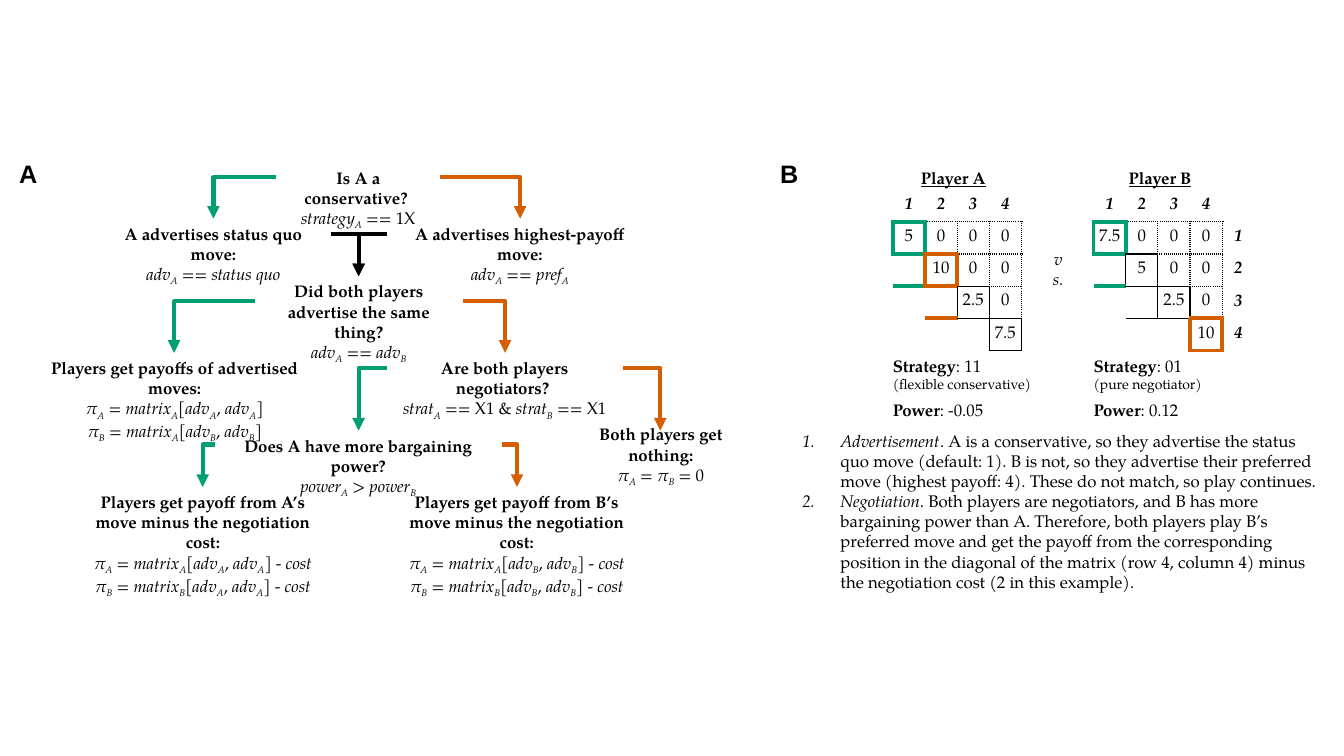
import lxml.etree
import pptx
import pptx.dml.color
import pptx.enum.dml
import pptx.enum.shapes
import pptx.enum.text
import pptx.oxml
import pptx.oxml.ns
import pptx.util

Cm, Pt = pptx.util.Cm, pptx.util.Pt
qn = pptx.oxml.ns.qn
ALIGN = pptx.enum.text.PP_ALIGN
ANCHOR = pptx.enum.text.MSO_ANCHOR
GREEN = pptx.dml.color.RGBColor(0x00, 0x9E, 0x73)
ORANGE = pptx.dml.color.RGBColor(0xD5, 0x5E, 0x00)
BLACK = pptx.dml.color.RGBColor(0x00, 0x00, 0x00)
SERIF = "TeX Gyre Pagella"
NO_GRID_STYLE = "{2D5ABB26-0587-4C30-8999-92F81FD0307C}"
CELL = 0.81
SIDES = {"L": (0, -1, "R"), "R": (0, 1, "L"), "T": (-1, 0, "B"), "B": (1, 0, "T")}

STEPS = [
    (6.96, 4.09, 4.14, 1.27, "Is A a conservative? ", ["*strategy_A* == 1X"]),
    (2.46, 5.51, 5.84, 1.27, "A advertises status quo move:", ["*adv_A* == *status quo*"]),
    (9.75, 5.51, 6.71, 1.27, "A advertises highest-payoff move:", ["*adv_A* == *pref_A*"]),
    (6.43, 6.96, 5.23, 1.8, "Did both players advertise the same thing?", ["*adv_A* == *adv_B*"]),
    (0.48, 8.89, 7.85, 1.8, "Players get payoffs of advertised moves:",
     ["*π_A* = *matrix_A*[*adv_A*, *adv_A*]", "*π_B* = *matrix_A*[*adv_B*, *adv_B*]"]),
    (9.75, 8.89, 5.94, 1.27, "Are both players negotiators? ",
     ["*strat_A* == X1 & *strat_B* == X1"]),
    (5.41, 10.85, 7.24, 1.27, "Does A have more bargaining power?", ["*power_A* > *power_B*"]),
    (1.9, 12.27, 6.43, 2.31, "Players get payoff from A’s move minus the negotiation cost:",
     ["*π_A* = *matrix_A*[*adv_A*, *adv_A*] - *cost*",
      "*π_B* = *matrix_B*[*adv_A*, *adv_A*] - *cost*"]),
    (9.75, 12.27, 6.55, 2.31, "Players get payoff from B’s move minus the negotiation cost:",
     ["*π_A* = *matrix_A*[*adv_B*, *adv_B*] - *cost*",
      "*π_B* = *matrix_B*[*adv_B*, *adv_B*] - *cost*"]),
]
BRANCHES = [
    (6.96, 4.47, 5.38, 5.51, GREEN),
    (11.1, 4.47, 13.11, 5.51, ORANGE),
    (9.75, 5.89, 9.04, 6.96, BLACK),
    (8.33, 5.89, 9.04, 6.96, BLACK),
    (11.66, 7.59, 12.73, 8.89, ORANGE),
    (6.43, 7.59, 4.39, 8.89, GREEN),
    (9.75, 9.27, 9.04, 10.85, GREEN),
    (15.7, 9.27, 16.64, 10.85, ORANGE),
    (12.65, 11.2, 13.03, 12.27, ORANGE),
    (5.41, 11.2, 5.11, 12.27, GREEN),
]
PLAYERS = [
    (22.5, 22.35, "Player A", ["5", "10", "2.5", "7.5"], {1: GREEN, 2: ORANGE}, False,
     "11", "(flexible conservative)", "-0.05"),
    (27.56, 27.56, "Player B", ["7.5", "5", "2.5", "10"], {1: GREEN, 4: ORANGE}, True,
     "01", "(pure negotiator)", "0.12"),
]
EXAMPLE = [
    "*Advertisement*. A is a conservative, so they advertise the status quo move (default: 1). "
    "B is not, so they advertise their preferred move (highest payoff: 4). "
    "These do not match, so play continues.",
    "*Negotiation*. Both players are negotiators, and B has more bargaining power than A. "
    "Therefore, both players play B’s preferred move and get the payoff from the corresponding "
    "position in the diagonal of the matrix (row 4, column 4) minus the negotiation cost "
    "(2 in this example).",
]


def format_run(run, size=12, bold=False, italic=False, underline=False, font=SERIF):
    run.font.name, run.font.size = font, Pt(size)
    run.font.bold, run.font.italic, run.font.underline = bold, italic, underline
    run.font.color.rgb = BLACK


def add_run(paragraph, text, **style):
    run = paragraph.add_run()
    run.text = text
    format_run(run, **style)
    return run


def add_formula(paragraph, markup):
    for index, part in enumerate(markup.split("*")):
        italic = index % 2 == 1
        name, _, subscript = part.partition("_")
        if name:
            add_run(paragraph, name, italic=italic)
        if subscript:
            run = add_run(paragraph, subscript, italic=italic)
            run.font._element.set("baseline", "-25000")


def add_text(slide, left, top, width, height, text="", align=ALIGN.LEFT,
             anchor=ANCHOR.TOP, wrap=True, **style):
    box = slide.shapes.add_textbox(Cm(left), Cm(top), Cm(width), Cm(height))
    frame = box.text_frame
    frame.word_wrap = wrap
    frame.auto_size = pptx.enum.text.MSO_AUTO_SIZE.SHAPE_TO_FIT_TEXT
    frame.vertical_anchor = anchor
    frame.text = text
    frame.paragraphs[0].alignment = align
    for run in frame.paragraphs[0].runs:
        format_run(run, **style)
    return frame


def add_step(slide, left, top, width, height, heading, formulas, anchor=ANCHOR.TOP):
    frame = add_text(slide, left, top, width, height, heading, ALIGN.CENTER, anchor, bold=True)
    for formula in formulas:
        paragraph = frame.add_paragraph()
        paragraph.alignment = ALIGN.CENTER
        add_formula(paragraph, formula)


def add_branch(slide, start_x, start_y, end_x, end_y, color):
    branch = slide.shapes.add_connector(pptx.enum.shapes.MSO_CONNECTOR.ELBOW, Cm(start_x),
                                        Cm(start_y), Cm(end_x), Cm(end_y))
    branch.line.color.rgb = color
    branch.line.width = Pt(3)
    properties = branch._element.spPr
    properties.find(qn("a:prstGeom")).set("prst", "bentConnector2")
    lxml.etree.SubElement(branch.line._get_or_add_ln(), qn("a:tailEnd"), type="triangle")
    lxml.etree.SubElement(properties, qn("a:effectLst"))


def payoff_borders(highlights):
    cells = [(row, column) for row in range(1, 5) for column in range(row - 1, 4)]
    dotted = [(cell, (BLACK, 1, "sysDot")) for cell in cells]
    diagonal = [((move, move - 1), (BLACK, 1, "solid")) for move in range(1, 5)]
    advertised = [((move, move - 1), (color, 3, "solid")) for move, color in highlights.items()]
    borders = {}
    for (row, column), line in dotted + diagonal + advertised:
        for side, (down, right, opposite) in SIDES.items():
            borders[row, column, side] = line
            borders[row + down, column + right, opposite] = line
    return borders


def draw_border(cell, side, color, width, dash):
    line = lxml.etree.SubElement(cell._tc.get_or_add_tcPr(), qn("a:ln" + side), w=str(Pt(width)))
    fill = lxml.etree.SubElement(line, qn("a:solidFill"))
    lxml.etree.SubElement(fill, qn("a:srgbClr"), val=str(color))
    lxml.etree.SubElement(line, qn("a:prstDash"), val=dash)


def add_payoffs(slide, left, diagonal, highlights, row_labels):
    table = slide.shapes.add_table(5, 5, Cm(left), Cm(4.78), Cm(5 * CELL), Cm(5 * CELL)).table
    table.first_row = table.horz_banding = False
    table._tbl.tblPr.find(qn("a:tableStyleId")).text = NO_GRID_STYLE
    borders = payoff_borders(highlights)
    for index in range(5):
        table.columns[index].width = table.rows[index].height = Cm(CELL)
    for row in range(5):
        for column in range(5):
            cell = table.cell(row, column)
            cell.margin_left = cell.margin_right = cell.margin_top = cell.margin_bottom = 0
            cell.vertical_anchor = ANCHOR.MIDDLE
            label = row == 0 or column == 4
            if row == 0:
                text = str(column + 1) if column < 4 else ""
            elif column == 4:
                text = str(row) if row_labels else ""
            elif column == row - 1:
                text = diagonal[column]
            else:
                text = "0" if column >= row else ""
            cell.text = text
            cell.text_frame.paragraphs[0].alignment = ALIGN.CENTER
            for run in cell.text_frame.paragraphs[0].runs:
                format_run(run, bold=label, italic=label)
            for side in SIDES:
                if (row, column, side) in borders:
                    draw_border(cell, side, *borders[row, column, side])
            cell.fill.background()


def add_player(slide, left, name_left, name, diagonal, highlights, row_labels,
               strategy, kind, power):
    add_payoffs(slide, left, diagonal, highlights, row_labels)
    add_text(slide, name_left, 4.09, 3.35, 0.76, name, ALIGN.CENTER, bold=True, underline=True)
    frame = add_text(slide, left, 8.84, 4.06, 1.88)
    frame.margin_left = 0
    strategy_line = frame.paragraphs[0]
    add_run(strategy_line, "Strategy", bold=True)
    add_run(strategy_line, ": " + strategy)
    add_run(frame.add_paragraph(), kind, size=10)
    power_line = frame.add_paragraph()
    power_line.space_before = Pt(5)
    add_run(power_line, "Power", bold=True)
    add_run(power_line, ": " + power)


def add_example(slide):
    frame = add_text(slide, 20.22, 10.72, 13.13, 3.84)
    frame.margin_left = frame.margin_right = 0
    for index, phase in enumerate(EXAMPLE):
        paragraph = frame.add_paragraph() if index else frame.paragraphs[0]
        add_formula(paragraph, phase)
        properties = paragraph._p.get_or_add_pPr()
        properties.set("marL", str(Cm(0.96)))
        properties.set("indent", str(-Cm(0.96)))
        lxml.etree.SubElement(properties, qn("a:buAutoNum"), type="arabicPeriod")


def main():
    deck = pptx.Presentation()
    deck.slide_width, deck.slide_height = Cm(33.87), Cm(19.05)
    slide = deck.slides.add_slide(deck.slide_layouts[6])
    for step in STEPS:
        add_step(slide, *step)
    add_step(slide, 14.1, 10.85, 5.11, 1.27, "Both players get nothing:",
             ["*π_A* = *π_B* = 0"], ANCHOR.MIDDLE)
    for branch in BRANCHES:
        add_branch(slide, *branch)
    for player in PLAYERS:
        add_player(slide, *player)
    add_text(slide, 26.24, 6.4, 0.86, 0.76, "vs.", ALIGN.CENTER, ANCHOR.MIDDLE, False, italic=True)
    add_example(slide)
    for letter, left in (("A", 0.23), ("B", 19.41)):
        add_text(slide, left, 3.86, 0.97, 1.02, letter, anchor=ANCHOR.MIDDLE, wrap=False,
                 size=18, bold=True, font="Arial")
    deck.save("out.pptx")


if __name__ == "__main__":
    main()
